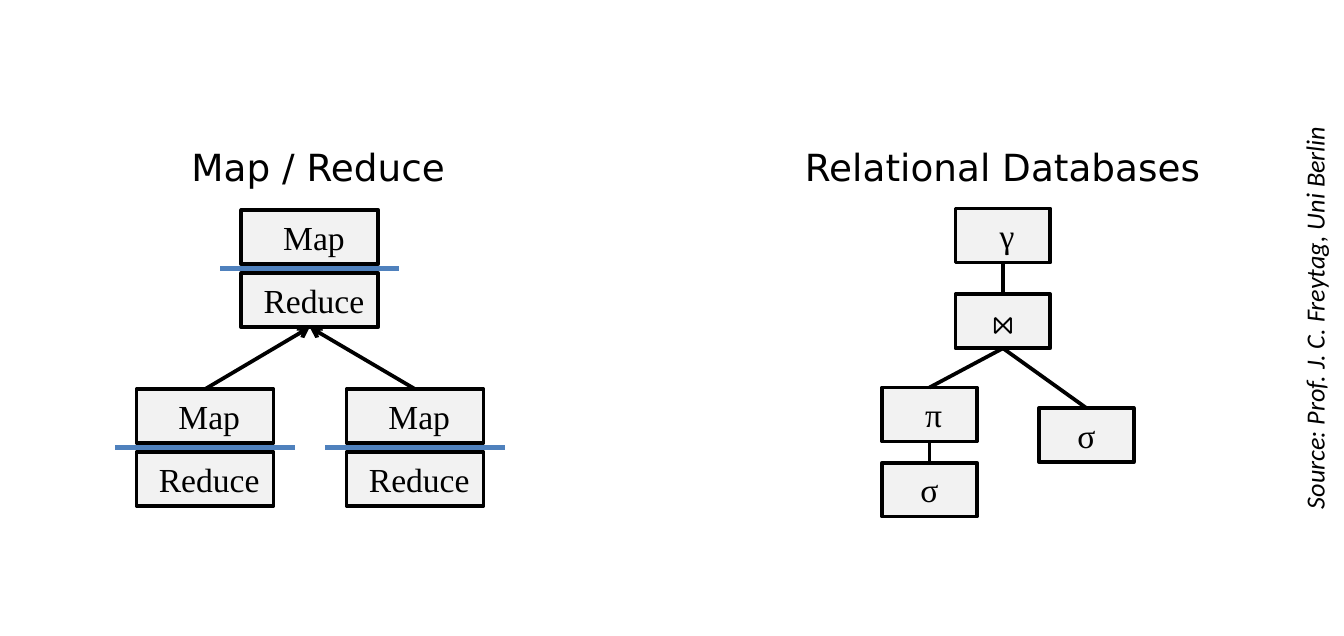
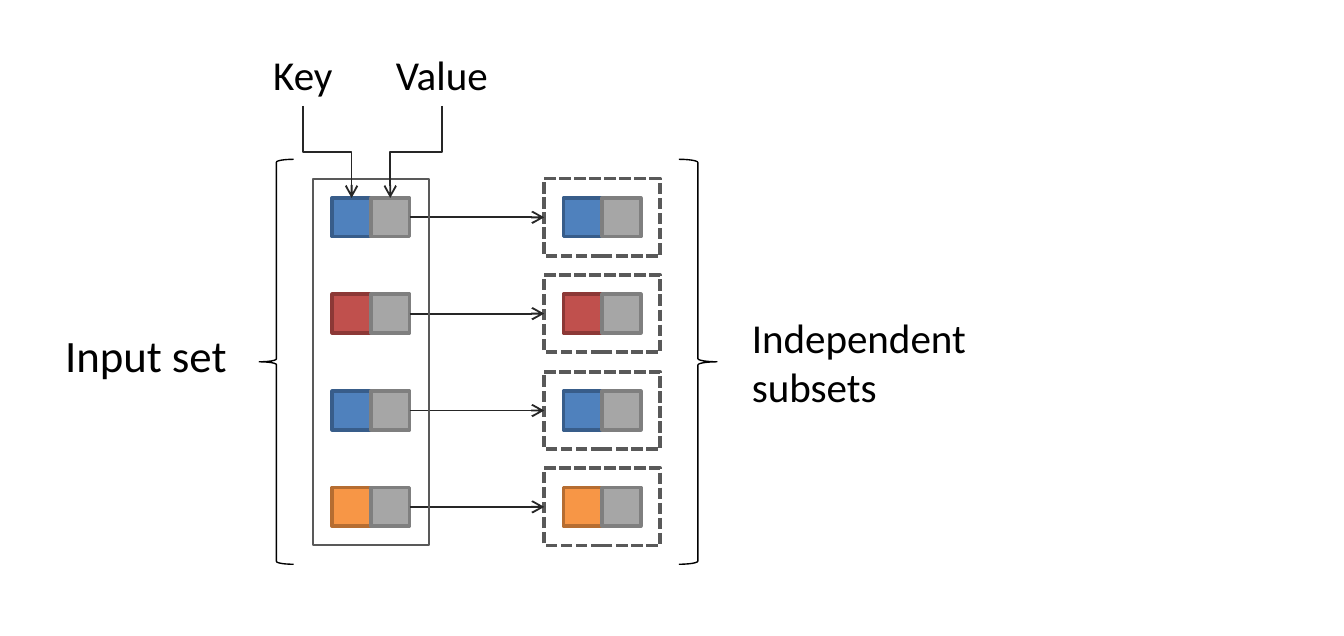
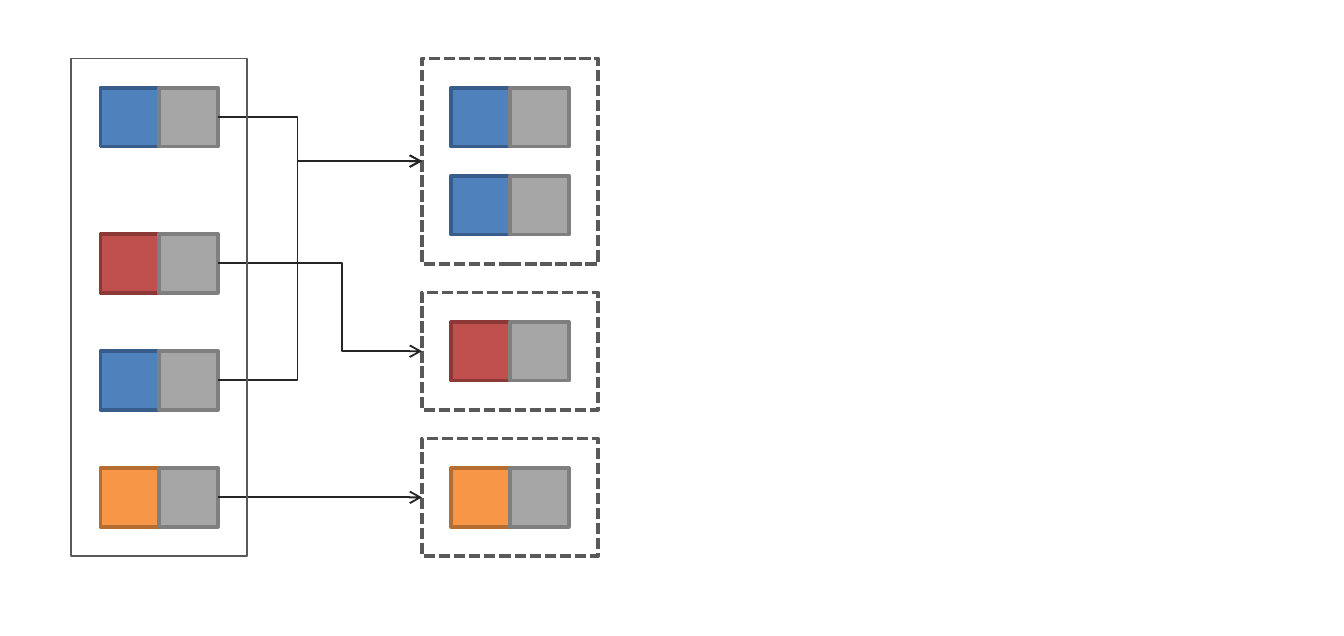
from lxml.etree import SubElement
from pptx import Presentation
from pptx.dml.color import RGBColor
from pptx.enum.dml import MSO_LINE
from pptx.enum.shapes import MSO_CONNECTOR, MSO_SHAPE
from pptx.enum.text import MSO_ANCHOR, PP_ALIGN
from pptx.oxml.ns import qn
from pptx.util import Cm, Inches, Pt

SLIDE_SIZE = Inches(10), Inches(4.73)
BLACK, BOX_FILL, BAR = "000000", "F2F2F2", "4F81BD"
ARROW, FRAME = "262626", "595959"
KEY_COLOURS = {  # fill, outline
    "blue": ("4F81BD", "385D8A"),
    "red": ("C0504D", "8C3836"),
    "orange": ("F79646", "B66D31"),
    "value": ("A6A6A6", "7F7F7F"),
}
SERIF, SANS, HEADING = "Times New Roman", "Calibri", "DejaVu Sans"
TOP, LEFT, BOTTOM, RIGHT = range(4)

# Positions and sizes below are in centimetres.
BOX_H, STACK_W, OPERATOR_W = 1.02, 2.59, 1.79
STACK_STEP, BAR_OVERHANG = 1.19, 0.4
NUDGE = 0.16  # extra left inset of labels set slightly right of centre

HEADINGS = [
    ("Map / Reduce", (3.37, 2.59, 5.77, 1.4), PP_ALIGN.LEFT),
    ("Relational Databases", (14.29, 2.59, 9.32, 1.4), PP_ALIGN.CENTER),
]
STACKS = {"left": (2.58, 7.35), "right": (6.55, 7.35), "top": (4.56, 3.97)}
OPERATORS = {  # label, left, top, nudge
    "group": ("γ", 18.06, 3.94, NUDGE),
    "join": ("⋈", 18.06, 5.56, 0),
    "project": ("π", 16.67, 7.32, NUDGE),
    "select left": ("σ", 16.67, 8.74, 0),
    "select right": ("σ", 19.64, 7.71, 0),
}
TREE = [("group", "join"), ("join", "project"), ("join", "select right"),
        ("project", "select left")]
SOURCE = ("Source: Prof. J. C. Freytag, Uni Berlin", (20.96, 5.55, 7.77, 0.86))

MAP_FLOW = {
    "size": 0.73, "input_left": 6.28, "subset_left": 10.65,
    "inputs": [("blue", 3.74), ("red", 5.56), ("blue", 7.39), ("orange", 9.21)],
    "subsets": [[("blue", 3.74)], [("red", 5.56)], [("blue", 7.39)],
                [("orange", 9.21)]],
    "links": [(0, 0, None), (1, 1, None), (2, 2, None), (3, 3, None)],
}
REDUCE_FLOW = {
    "size": 1.11, "input_left": 1.9, "subset_left": 8.53,
    "inputs": [("blue", 1.66), ("red", 4.42), ("blue", 6.63), ("orange", 8.84)],
    "subsets": [[("blue", 1.66), ("blue", 3.32)], [("red", 6.08)],
                [("orange", 8.84)]],
    "links": [(0, 0, 0.39), (1, 1, 0.61), (2, 0, 0.39), (3, 2, None)],
}
BRACES = [
    (MSO_SHAPE.LEFT_BRACE, (4.9, 3.01, 0.65, 7.65)),
    (MSO_SHAPE.RIGHT_BRACE, (12.83, 3.01, 0.72, 7.65)),
]
SIDE_LABELS = [
    ("Input set", (0.98, 6.07, 6.2, 1.27), 24),
    ("Independent subsets", (13.96, 5.78, 5.03, 2.13), 22),
]
TOP_LABELS = [("Key", (4.38, 0.81, 2.69, 1.19)), ("Value", (6.56, 0.81, 3.58, 1.19))]


def rgb(colour):
    return RGBColor.from_string(colour)


def write(sp, text, size, font, align=PP_ALIGN.LEFT, italic=False):
    tf = sp.text_frame
    tf.word_wrap = True
    tf.vertical_anchor = MSO_ANCHOR.TOP
    tf.text = text
    p = tf.paragraphs[0]
    p.alignment = align
    f = p.runs[0].font
    f.size, f.name, f.italic = Pt(size), font, italic
    f.color.rgb = rgb(BLACK)


def add_text(slide, text, box, *style, **options):
    sp = slide.shapes.add_textbox(*map(Cm, box))
    write(sp, text, *style, **options)
    return sp


def add_outlined(slide, box, line, width, fill=None, kind=MSO_SHAPE.RECTANGLE):
    sp = slide.shapes.add_shape(kind, *map(Cm, box))
    sp.shadow.inherit = False
    if fill:
        sp.fill.solid()
        sp.fill.fore_color.rgb = rgb(fill)
    else:
        sp.fill.background()
    sp.line.color.rgb = rgb(line)
    sp.line.width = Pt(width)
    return sp


def add_label_box(slide, text, left, top, width, nudge):
    sp = add_outlined(slide, (left, top, width, BOX_H), BLACK, 2, BOX_FILL)
    write(sp, text, 18, SERIF, PP_ALIGN.CENTER)
    sp.text_frame.margin_left = Cm(0.25 + nudge)
    return sp


def site(sp, side):
    """Middle point of one side of a rectangle."""
    x, y = sp.left + sp.width // 2, sp.top + sp.height // 2
    return {TOP: (x, sp.top), LEFT: (sp.left, y), BOTTOM: (x, sp.top + sp.height),
            RIGHT: (sp.left + sp.width, y)}[side]


def add_line(slide, start, end, colour, width, arrow=False,
             kind=MSO_CONNECTOR.STRAIGHT):
    line = slide.shapes.add_connector(kind, *start, *end)
    line.line.color.rgb = rgb(colour)
    line.line.width = Pt(width)
    sp_pr = line._element.spPr
    if arrow:
        SubElement(sp_pr.find(qn("a:ln")), qn("a:tailEnd"), type="arrow")
    SubElement(sp_pr, qn("a:effectLst"))
    return line


def join(slide, a, a_side, b, b_side, colour, width, arrow=False):
    line = add_line(slide, site(a, a_side), site(b, b_side), colour, width, arrow)
    line.begin_connect(a, a_side)
    line.end_connect(b, b_side)


def add_elbow(slide, start, end, bend):
    """Elbow arrow leaving sideways; bend is the share of the width before the turn."""
    line = add_line(slide, start, end, ARROW, 1, True, MSO_CONNECTOR.ELBOW)
    guides = line._element.spPr.find(qn("a:prstGeom")).find(qn("a:avLst"))
    SubElement(guides, qn("a:gd"), name="adj1", fmla=f"val {round(bend * 100000)}")
    return line


def add_drop_elbow(slide, start, end):
    """Elbow arrow leaving downwards: a sideways one turned about its centre."""
    (x0, y0), (x1, y1) = start, end
    cx, cy = (x0 + x1) // 2, (y0 + y1) // 2
    dx, dy = (y1 - y0) // 2, abs(x1 - x0) // 2
    to_right = x1 > x0
    if to_right:
        dx = -dx
    line = add_elbow(slide, (cx - dx, cy - dy), (cx + dx, cy + dy), 0.5)
    degrees = 270 if to_right else 90
    line._element.spPr.find(qn("a:xfrm")).set("rot", str(degrees * 60000))


def add_pairs(slide, pairs, left, size):
    """Draw key and value squares side by side; return them as pairs."""
    return [[add_outlined(slide, (left + i * size, top, size, size), line, 2, fill)
             for i, (fill, line) in enumerate((KEY_COLOURS[key], KEY_COLOURS["value"]))]
            for key, top in pairs]


def add_frame(slide, pairs, left, size, width):
    """Frame pairs with a margin of half a square."""
    first, last = pairs[0][1], pairs[-1][1]
    box = left - size / 2, first - size / 2, 3 * size, last - first + 2 * size
    return add_outlined(slide, box, FRAME, width)


def add_flow(slide, flow):
    size, left, right = flow["size"], flow["input_left"], flow["subset_left"]
    inputs = add_pairs(slide, flow["inputs"], left, size)
    frames = []
    for subset in flow["subsets"]:
        add_pairs(slide, subset, right, size)
        frame = add_frame(slide, subset, right, size, 2)
        frame.line.dash_style = MSO_LINE.SQUARE_DOT
        frames.append(frame)
    for source, target, bend in flow["links"]:
        value, frame = inputs[source][1], frames[target]
        if bend is None:
            join(slide, value, RIGHT, frame, LEFT, ARROW, 1, True)
        else:
            add_elbow(slide, site(value, RIGHT), site(frame, LEFT), bend)
    add_frame(slide, flow["inputs"], left, size, 1)
    return inputs


def build_comparison(slide):
    for text, box, align in HEADINGS:
        add_text(slide, text, box, 20, HEADING, align)

    boxes = {name: add_label_box(slide, text, left, top, OPERATOR_W, nudge)
             for name, (text, left, top, nudge) in OPERATORS.items()}
    for parent, child in TREE:
        join(slide, boxes[parent], BOTTOM, boxes[child], TOP, BLACK, 2)

    stacks = {}
    for name, (left, top) in STACKS.items():
        stacks[name] = [add_label_box(slide, text, left, top + i * STACK_STEP,
                                      STACK_W, NUDGE)
                        for i, text in enumerate(("Map", "Reduce"))]
        y = Cm(top + (STACK_STEP + BOX_H) / 2)
        add_line(slide, (Cm(left - BAR_OVERHANG), y),
                 (Cm(left + STACK_W + BAR_OVERHANG), y), BAR, 3)
    for name in ("right", "left"):
        join(slide, stacks[name][0], TOP, stacks["top"][1], BOTTOM, BLACK, 2, True)

    text, box = SOURCE
    sp = add_text(slide, text, box, 14, SANS, italic=True)
    sp.text_frame.word_wrap = False
    sp.rotation = 270


def build_map(slide):
    inputs = add_flow(slide, MAP_FLOW)
    for kind, box in BRACES:
        add_outlined(slide, box, BLACK, 0.75, kind=kind)
    for text, box, size in SIDE_LABELS:
        add_text(slide, text, box, size, SANS)
    for (text, box), square in zip(TOP_LABELS, inputs[0]):
        label = add_text(slide, text, box, 22, SANS, PP_ALIGN.CENTER)
        add_drop_elbow(slide, site(label, BOTTOM), site(square, TOP))


def build_reduce(slide):
    add_flow(slide, REDUCE_FLOW)


def main():
    prs = Presentation()
    prs.slide_width, prs.slide_height = SLIDE_SIZE
    for build in (build_comparison, build_map, build_reduce):
        build(prs.slides.add_slide(prs.slide_layouts[6]))
    prs.save("out.pptx")


if __name__ == "__main__":
    main()
